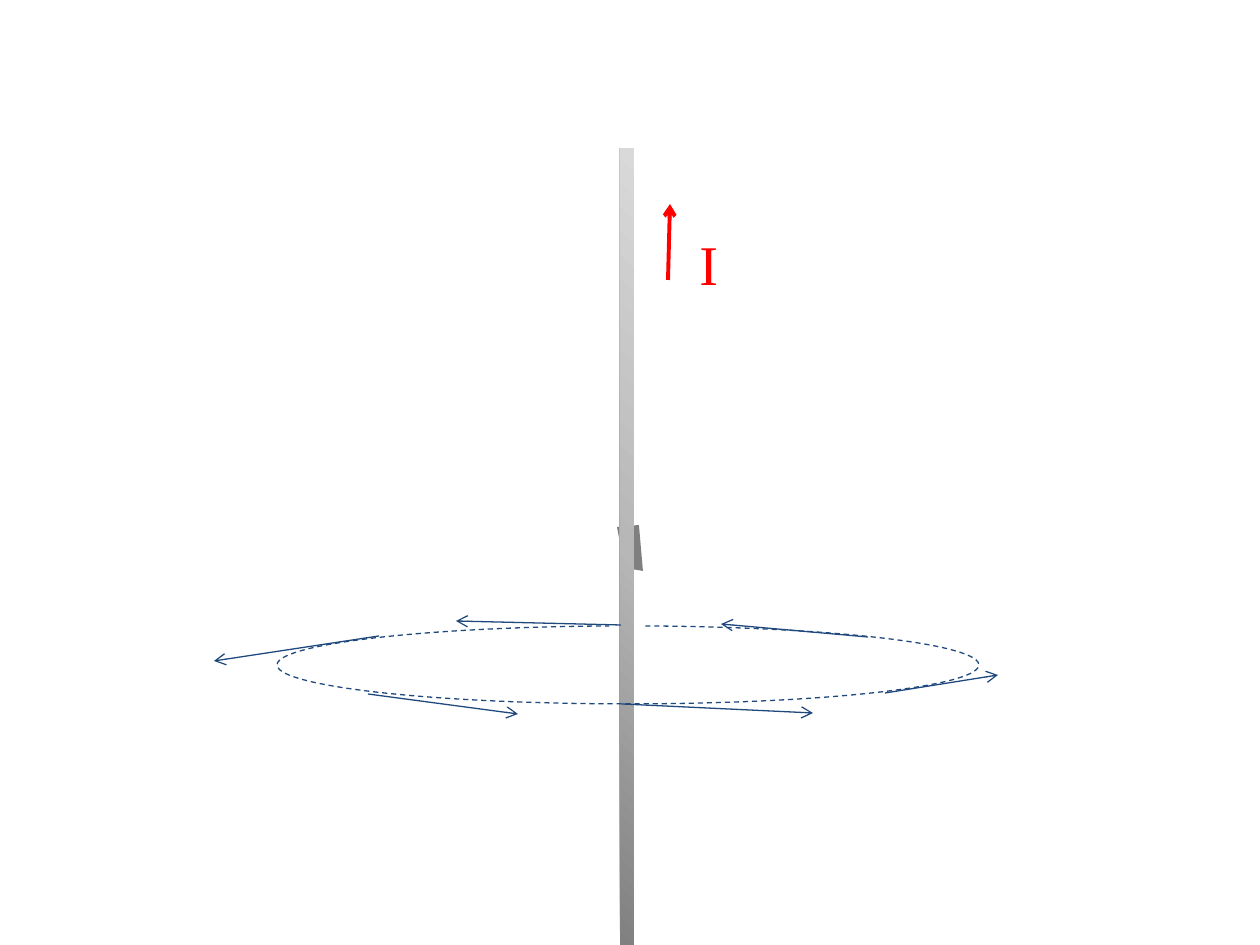
from dataclasses import dataclass

from lxml.etree import SubElement
from pptx import Presentation
from pptx.dml.color import RGBColor
from pptx.enum.dml import MSO_LINE_DASH_STYLE as DASH
from pptx.enum.shapes import MSO_CONNECTOR as CONNECTOR
from pptx.enum.shapes import MSO_SHAPE as SHAPE
from pptx.enum.text import MSO_AUTO_SIZE as AUTO_SIZE
from pptx.oxml.ns import qn
from pptx.util import Emu, Inches, Pt

COLORS = {
    "field": "1F497D",
    "current": "FF0000",
    "hole": "808080",
    "rod_dark": "808080",
    "rod_mid": "B7B7B7",
    "rod_light": "D9D9D9",
}
SCALE = 914400 / 126


@dataclass(frozen=True)
class Arrow:
    start: tuple[int, int]
    end: tuple[int, int]
    color: str = "field"
    width: float = 0.75


ARROWS = [
    Arrow((368, 694), (518, 714)),
    Arrow((622, 704), (813, 713)),
    Arrow((885, 693), (998, 675)),
    Arrow((868, 637), (721, 624)),
    Arrow((621, 625), (456, 621)),
    Arrow((379, 636), (214, 661)),
    Arrow((668, 280), (670, 204), "current", 2.25),
]
HOLE = [(643, 571), (625, 568), (617, 527), (639, 525)]


def px(*values: int) -> list[Emu]:
    return [Emu(round(v * SCALE)) for v in values]


def rgb(name: str) -> RGBColor:
    return RGBColor.from_string(COLORS[name])


def add_hole(s) -> None:
    builder = s.shapes.build_freeform(*HOLE[0], scale=SCALE)
    builder.add_line_segments(HOLE[1:], close=True)
    sp = builder.convert_to_shape()
    sp.shadow.inherit = False
    sp.fill.solid()
    sp.fill.fore_color.rgb = rgb("hole")
    sp.line.fill.background()


def add_rod(s) -> None:
    sp = s.shapes.add_shape(SHAPE.RECTANGLE, *px(620, 149, 14, 796))
    sp.shadow.inherit = False
    sp.line.fill.background()
    sp.fill.gradient()
    sp.fill.gradient_angle = 45
    stops = sp._element.spPr.find(qn("a:gradFill")).find(qn("a:gsLst"))
    for stop in list(stops):
        stops.remove(stop)
    for percent, name in ((0, "rod_dark"), (50, "rod_mid"), (100, "rod_light")):
        stop = SubElement(stops, qn("a:gs"), pos=str(percent * 1000))
        SubElement(stop, qn("a:srgbClr"), val=COLORS[name])


def add_field_loop(s) -> None:
    sp = s.shapes.add_shape(SHAPE.ARC, *px(277, 626, 702, 78))
    sp.shadow.inherit = False
    sp.adjustments[0] = 176.39
    sp.adjustments[1] = 146.59
    sp.fill.background()
    sp.line.color.rgb = rgb("field")
    sp.line.width = Pt(0.75)
    sp.line.dash_style = DASH.DASH


def add_arrow(s, arrow: Arrow) -> None:
    cxn = s.shapes.add_connector(CONNECTOR.STRAIGHT, *px(*arrow.start, *arrow.end))
    cxn.line.color.rgb = rgb(arrow.color)
    cxn.line.width = Pt(arrow.width)
    SubElement(cxn.line._get_or_add_ln(), qn("a:tailEnd"), type="arrow")
    SubElement(cxn._element.spPr, qn("a:effectLst"))


def add_current_label(s) -> None:
    tf = s.shapes.add_textbox(*px(687, 223, 44, 81)).text_frame
    tf.word_wrap = False
    tf.auto_size = AUTO_SIZE.SHAPE_TO_FIT_TEXT
    p = tf.paragraphs[0]
    p.text = "I"
    p.font.name = "Times New Roman"
    p.font.size = Pt(32)
    p.font.color.rgb = rgb("current")


def main() -> None:
    prs = Presentation()
    prs.slide_width, prs.slide_height = Inches(10), Inches(7.5)
    s = prs.slides.add_slide(prs.slide_layouts[6])
    add_hole(s)
    add_rod(s)
    add_field_loop(s)
    for arrow in ARROWS:
        add_arrow(s, arrow)
    add_current_label(s)
    prs.save("out.pptx")


if __name__ == "__main__":
    main()
